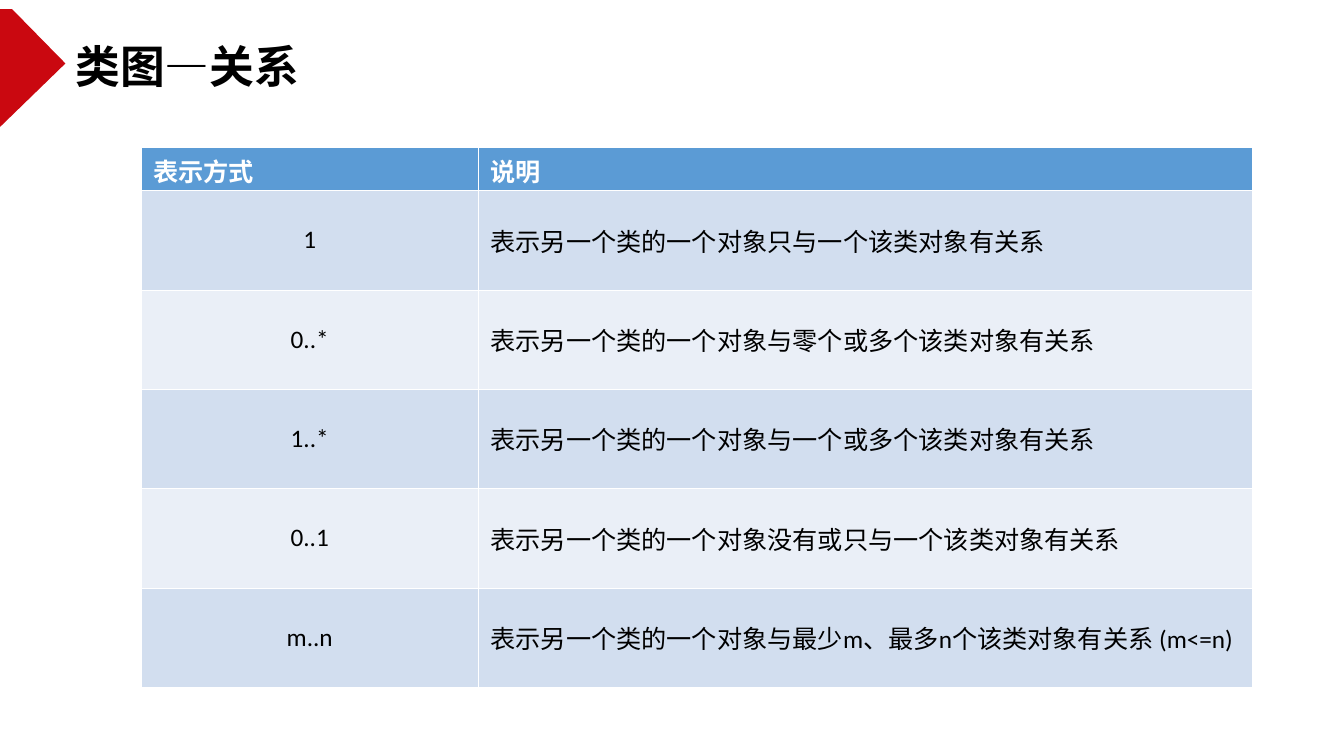
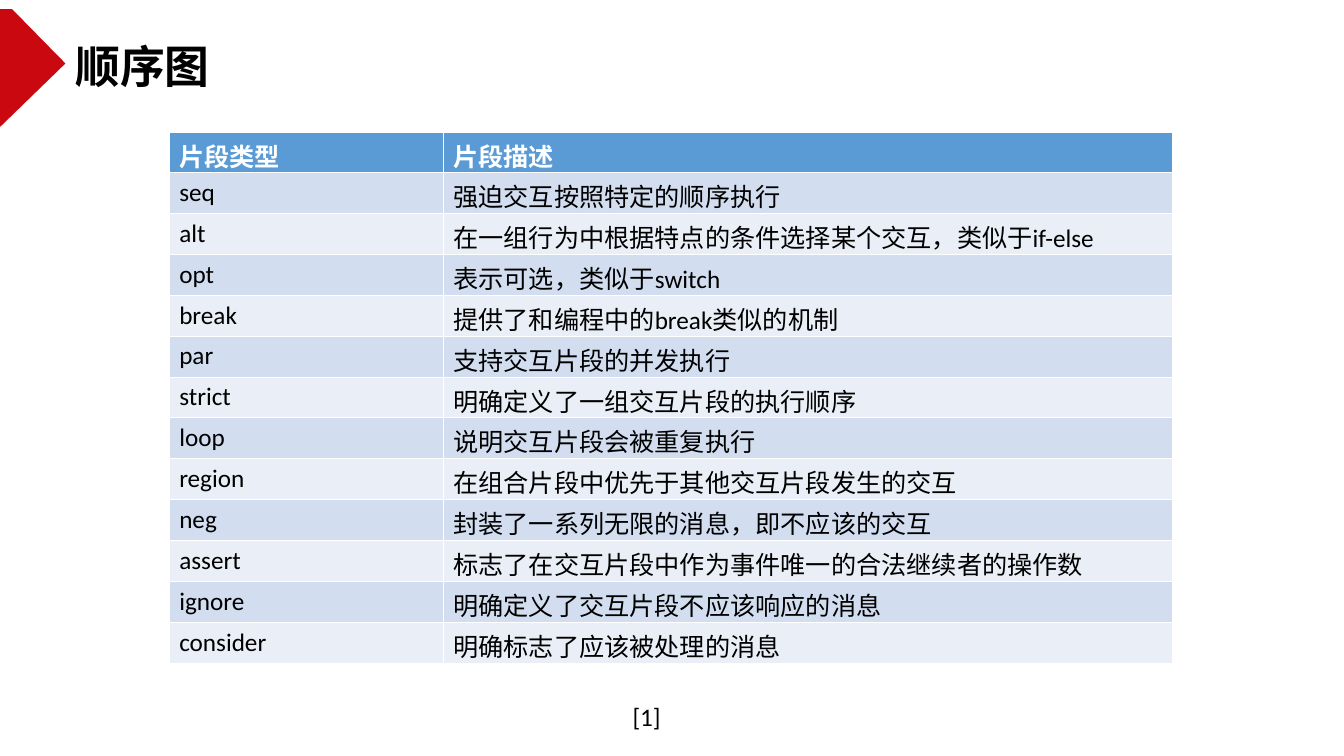
from dataclasses import dataclass

import lxml.etree
import pptx
import pptx.dml.color
import pptx.enum.text
import pptx.oxml.ns
import pptx.util

WIDTH, HEIGHT = pptx.util.Inches(13.34), pptx.util.Inches(7.5)
RED, BLACK, WHITE = "CA0810", "000000", "FFFFFF"
HEADER_FILL = "5B9BD5"
BANDS = ("D2DEEF", "EAEFF7")
TITLE_FONT, BODY_FONT = "Noto Sans CJK SC", "Calibri"
BODY_SIZE = 18
THIN, THICK = 0.45, 1.47
ALIGN = pptx.enum.text.PP_ALIGN
ANCHOR = pptx.enum.text.MSO_ANCHOR


@dataclass(frozen=True)
class Box:
    """Position and size in percent of the slide's width and height."""
    left: float
    top: float
    width: float
    height: float

    def emu(self) -> tuple[int, int, int, int]:
        return (across(self.left), down(self.top),
                across(self.width), down(self.height))


@dataclass(frozen=True)
class TableSpec:
    """Header height is in percent of the slide, first column of the table."""
    box: Box
    header_height: float
    first_column: float
    rows: list[tuple[str, str]]
    key_align: ALIGN = ALIGN.LEFT
    anchor: ANCHOR = ANCHOR.TOP
    side_margin: float = 0.1


TITLE_BOX = Box(4.87, 4.4, 41.68, 8.53)
REFERENCE_BOX = Box(46.33, 92.13, 3.6, 5.33)
MARKER = [(0, 1.2), (0, 16.8), (4.87, 8.4), (0.9, 1.2)]

MULTIPLICITY = TableSpec(
    Box(10.49, 19.47, 82.68, 71.47), 5.73, 30.37,
    [
        ("表示方式", "说明"),
        ("1", "表示另一个类的一个对象只与一个该类对象有关系"),
        ("0..*", "表示另一个类的一个对象与零个或多个该类对象有关系"),
        ("1..*", "表示另一个类的一个对象与一个或多个该类对象有关系"),
        ("0..1", "表示另一个类的一个对象没有或只与一个该类对象有关系"),
        ("m..n", "表示另一个类的一个对象与最少m、最多n个该类对象有关系 (m<=n)"),
    ],
    key_align=ALIGN.CENTER, anchor=ANCHOR.MIDDLE, side_margin=0.12)

FRAGMENTS = TableSpec(
    Box(12.59, 17.47, 74.66, 70.27), 5.33, 27.31,
    [
        ("片段类型", "片段描述"),
        ("seq", "强迫交互按照特定的顺序执行"),
        ("alt", "在一组行为中根据特点的条件选择某个交互，类似于if-else"),
        ("opt", "表示可选，类似于switch"),
        ("break", "提供了和编程中的break类似的机制"),
        ("par", "支持交互片段的并发执行"),
        ("strict", "明确定义了一组交互片段的执行顺序"),
        ("loop", "说明交互片段会被重复执行"),
        ("region", "在组合片段中优先于其他交互片段发生的交互"),
        ("neg", "封装了一系列无限的消息，即不应该的交互"),
        ("assert", "标志了在交互片段中作为事件唯一的合法继续者的操作数"),
        ("ignore", "明确定义了交互片段不应该响应的消息"),
        ("consider", "明确标志了应该被处理的消息"),
    ])


def across(percent: float) -> int:
    return round(WIDTH * percent / 100)


def down(percent: float) -> int:
    return round(HEIGHT * percent / 100)


def rgb(value: str) -> pptx.dml.color.RGBColor:
    return pptx.dml.color.RGBColor.from_string(value)


def set_font(p, size: float, color: str, bold: bool = False,
             name: str = BODY_FONT) -> None:
    p.font.name = name
    p.font.size = pptx.util.Pt(size)
    p.font.bold = bold
    p.font.color.rgb = rgb(color)


def add_text(s, box: Box, text: str, size: float, bold: bool = False,
             name: str = BODY_FONT, wrap: bool = True) -> None:
    tf = s.shapes.add_textbox(*box.emu()).text_frame
    tf.word_wrap = wrap
    tf.auto_size = pptx.enum.text.MSO_AUTO_SIZE.SHAPE_TO_FIT_TEXT
    p = tf.paragraphs[0]
    p.text = text
    set_font(p, size, BLACK, bold, name)


def add_marker(s) -> None:
    points = [(across(x), down(y)) for x, y in MARKER]
    builder = s.shapes.build_freeform(*points[0])
    builder.add_line_segments(points[1:], close=True)
    sp = builder.convert_to_shape()
    sp.shadow.inherit = False
    sp.fill.solid()
    sp.fill.fore_color.rgb = rgb(RED)
    sp.line.fill.background()


def set_borders(cell, top: float, bottom: float) -> None:
    """Draw white borders; widths in points, sides always thin."""
    qn = pptx.oxml.ns.qn
    tc_pr = cell._tc.get_or_add_tcPr()
    for side, width in zip("LRTB", (THIN, THIN, top, bottom)):
        ln = lxml.etree.SubElement(tc_pr, qn(f"a:ln{side}"),
                                   w=str(pptx.util.Pt(width)))
        fill = lxml.etree.SubElement(ln, qn("a:solidFill"))
        lxml.etree.SubElement(fill, qn("a:srgbClr"), val=WHITE)


def fill_cell(cell, text: str, row: int, column: int, spec: TableSpec) -> None:
    header = row == 0
    set_borders(cell, THICK if row == 1 else THIN, THICK if header else THIN)
    cell.fill.solid()
    cell.fill.fore_color.rgb = rgb(HEADER_FILL if header else BANDS[(row - 1) % 2])
    cell.margin_left = cell.margin_right = pptx.util.Inches(spec.side_margin)
    cell.vertical_anchor = spec.anchor
    p = cell.text_frame.paragraphs[0]
    p.text = text
    p.alignment = ALIGN.LEFT if header or column else spec.key_align
    set_font(p, BODY_SIZE, WHITE if header else BLACK, bold=header)


def add_table(s, spec: TableSpec) -> None:
    box = spec.box
    table = s.shapes.add_table(len(spec.rows), 2, *box.emu()).table
    first = spec.first_column
    for column, share in zip(table.columns, (first, 100 - first)):
        column.width = across(box.width * share / 100)
    body_height = (box.height - spec.header_height) / (len(spec.rows) - 1)
    for i, texts in enumerate(spec.rows):
        table.rows[i].height = down(body_height if i else spec.header_height)
        for j, text in enumerate(texts):
            fill_cell(table.cell(i, j), text, i, j, spec)


def add_slide(prs, title: str, spec: TableSpec):
    s = prs.slides.add_slide(prs.slide_layouts[6])
    add_marker(s)
    add_text(s, TITLE_BOX, title, 32, bold=True, name=TITLE_FONT)
    add_table(s, spec)
    return s


def main() -> None:
    prs = pptx.Presentation()
    prs.slide_width, prs.slide_height = WIDTH, HEIGHT
    add_slide(prs, "类图—关系", MULTIPLICITY)
    s = add_slide(prs, "顺序图", FRAGMENTS)
    add_text(s, REFERENCE_BOX, "[1]", BODY_SIZE, wrap=False)
    prs.save("out.pptx")


if __name__ == "__main__":
    main()
